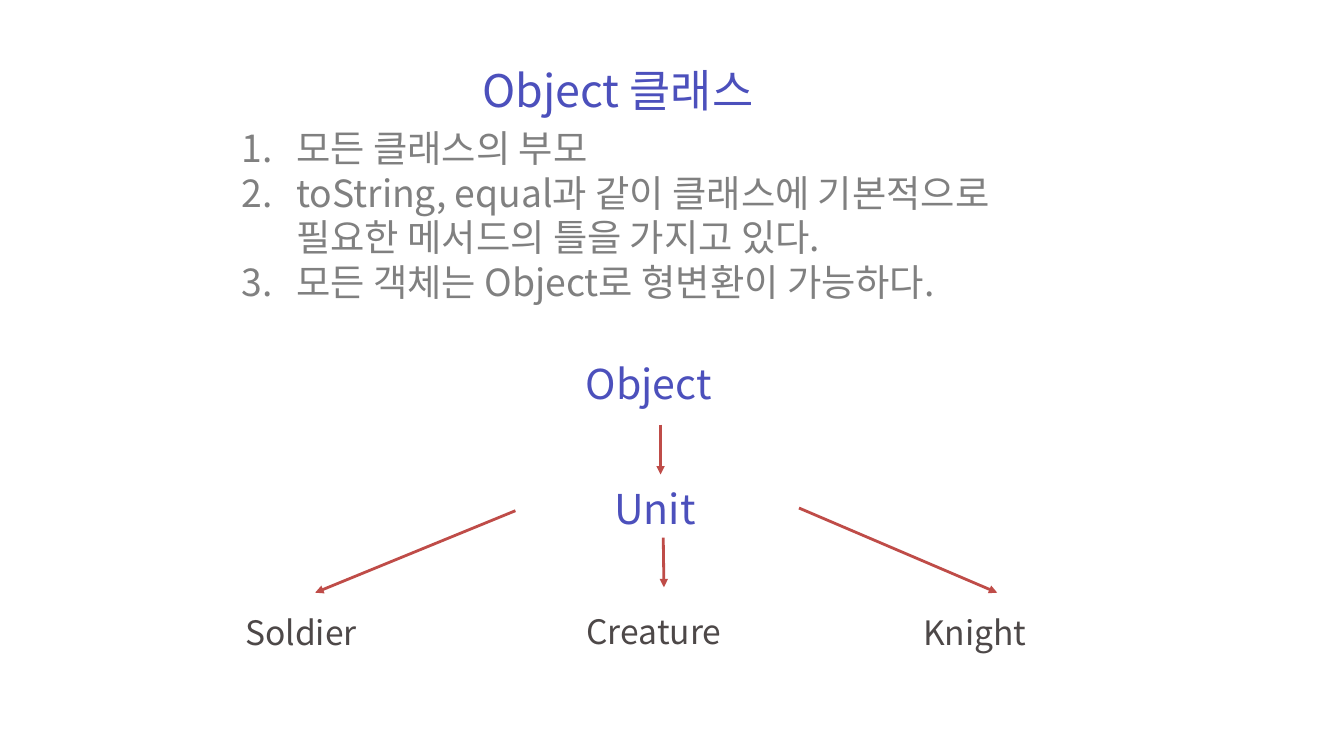
"""Build a slide on the Object class and the inheritance tree below it."""
from lxml.etree import SubElement
from pptx import Presentation
from pptx.dml.color import RGBColor
from pptx.enum.shapes import MSO_CONNECTOR
from pptx.enum.text import MSO_ANCHOR, PP_ALIGN
from pptx.oxml.ns import qn
from pptx.util import Inches, Pt

FONT = "Noto Sans CJK KR"
COLORS = {"heading": "4C50BC", "body": "808080", "leaf": "4D4848", "arrow": "BF4C48"}


def place(box, left, top, width, height):
    box.left, box.top = Inches(left), Inches(top)
    box.width, box.height = Inches(width), Inches(height)
    frame = box.text_frame
    frame.word_wrap = True
    frame.vertical_anchor = MSO_ANCHOR.TOP
    frame.margin_left = frame.margin_right = Inches(0.1)
    frame.margin_top = frame.margin_bottom = Inches(0.05)
    return frame


def write(paragraph, text, size, color):
    paragraph.alignment = PP_ALIGN.LEFT
    paragraph.line_spacing = Pt(size * 1.2)
    run = paragraph.add_run()
    run.text = text
    run.font.name = FONT
    run.font.size = Pt(size)
    run.font.color.rgb = RGBColor.from_string(COLORS[color])
    SubElement(run.font._element, qn("a:ea"), typeface=FONT)


deck = Presentation()
deck.slide_width, deck.slide_height = Inches(20), Inches(11.25)
slide = deck.slides.add_slide(deck.slide_layouts[5])

title = place(slide.shapes.title, 7.08, 0.88, 5.42, 0.91)
write(title.paragraphs[0], "Object 클래스", 48, "heading")

facts = place(slide.shapes.add_textbox(0, 0, 0, 0), 3.5, 1.81, 12.67, 2.79)
for index, fact in enumerate([
    "모든 클래스의 부모",
    "toString, equal과 같이 클래스에 기본적으로 필요한 메서드의 틀을 가지고 있다.",
    "모든 객체는 Object로 형변환이 가능하다.",
]):
    paragraph = facts.add_paragraph() if index else facts.paragraphs[0]
    write(paragraph, fact, 40, "body")
    properties = paragraph._p.get_or_add_pPr()
    properties.set("marL", str(Inches(0.81)))
    properties.set("indent", str(-Inches(0.81)))
    SubElement(properties, qn("a:buFont"), typeface=FONT)
    SubElement(properties, qn("a:buAutoNum"), type="arabicPeriod")

for name, left, top, width, height, size, color in [
    ("Object", 8.62, 5.29, 2.54, 0.84, 44, "heading"),
    ("Unit", 9.04, 7.14, 2.13, 0.84, 44, "heading"),
    ("Soldier", 3.55, 9.06, 2.12, 0.71, 36, "leaf"),
    ("Creature", 8.63, 9.04, 2.49, 0.71, 36, "leaf"),
    ("Knight", 13.64, 9.06, 1.96, 0.71, 36, "leaf"),
]:
    label = place(slide.shapes.add_textbox(0, 0, 0, 0), left, top, width, height)
    write(label.paragraphs[0], name, size, color)

for ends in [
    (9.83, 6.32, 9.83, 7.06),
    (7.67, 7.6, 4.69, 8.82),
    (9.87, 8, 9.88, 8.74),
    (11.89, 7.56, 14.84, 8.82),
]:
    arrow = slide.shapes.add_connector(MSO_CONNECTOR.STRAIGHT, *map(Inches, ends))
    arrow.line.width = Pt(3)
    arrow.line.color.rgb = RGBColor.from_string(COLORS["arrow"])
    SubElement(arrow.line._get_or_add_ln(), qn("a:tailEnd"), type="triangle")
    SubElement(arrow._element.spPr, qn("a:effectLst"))

deck.save("out.pptx")
